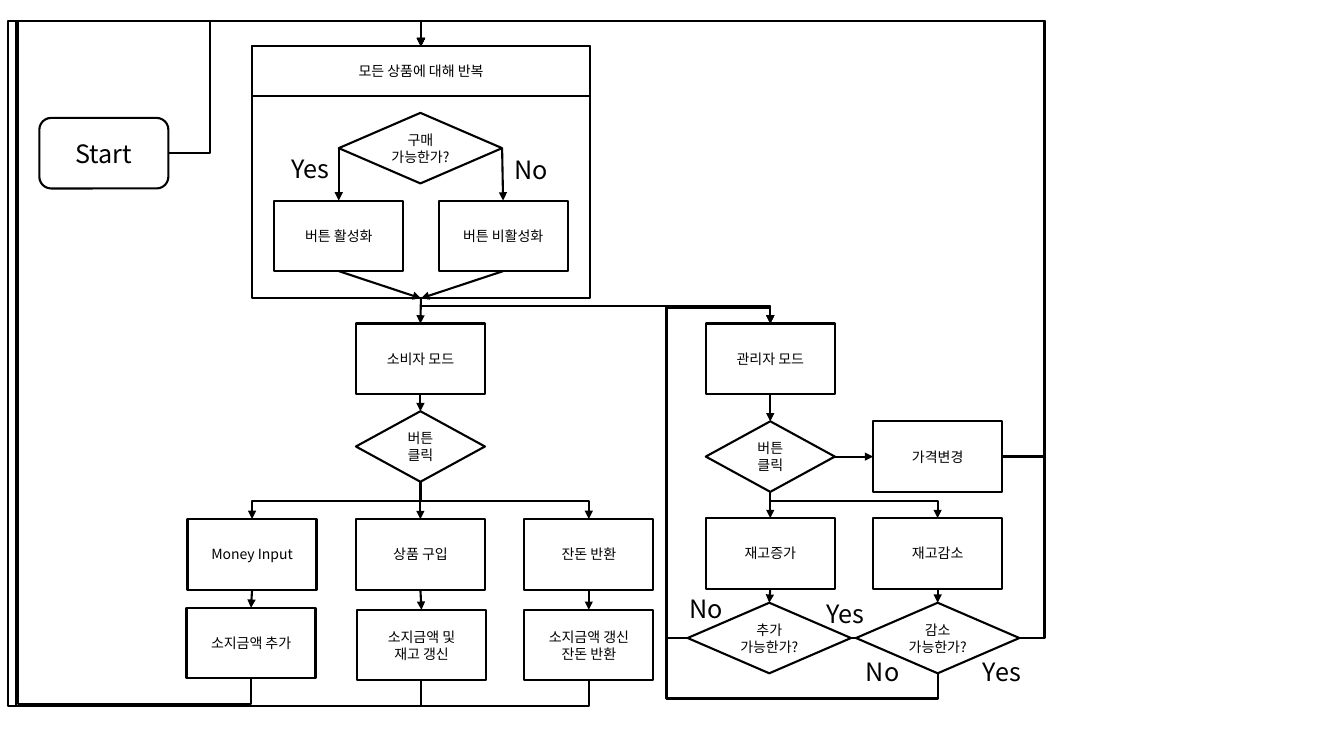
from pptx import Presentation
from pptx.dml.color import RGBColor
from pptx.enum.shapes import MSO_CONNECTOR as Line, MSO_SHAPE as Kind
from pptx.enum.text import MSO_ANCHOR as Anchor, PP_ALIGN as Align
from pptx.oxml.ns import qn
from pptx.util import Inches, Pt
from lxml.etree import SubElement

COLORS = {"ink": "000000", "paper": "FFFFFF"}
FONT = "Noto Sans CJK KR"
TOP, LEFT, BOTTOM, RIGHT = range(4)
WIDE, HIGH = 1.28, 0.7
FORK = 1.62


def color(name):
    return RGBColor.from_string(COLORS[name])


def write(frame, text, size=10, align=Align.CENTER, anchor=Anchor.MIDDLE):
    frame.word_wrap = True
    frame.vertical_anchor = anchor
    for i, part in enumerate(text.split("\n")):
        para = frame.paragraphs[0] if i == 0 else frame.add_paragraph()
        para.alignment = align
        run = para.add_run()
        run.text = part
        run.font.size = Pt(size)
        run.font.name = FONT
        run.font.color.rgb = color("ink")
        SubElement(run.font._element, qn("a:ea")).set("typeface", FONT)


def box(shapes, x, y, text="", kind=Kind.RECTANGLE, wide=WIDE, high=HIGH, size=10):
    shape = shapes.add_shape(kind, Inches(x), Inches(y), Inches(wide), Inches(high))
    shape.shadow.inherit = False
    shape.line.color.rgb = color("ink")
    shape.line.width = Pt(1.5)
    if text:
        shape.fill.solid()
        shape.fill.fore_color.rgb = color("paper")
        write(shape.text_frame, text, size=size)
    else:
        shape.fill.background()
    return shape


def label(shapes, x, y, text):
    area = shapes.add_textbox(Inches(x), Inches(y), Inches(1.09), Inches(0.4))
    write(area.text_frame, text, size=18, align=Align.LEFT, anchor=Anchor.TOP)


def bend(line, side, lanes):
    """Route an elbow line along lanes that alternate between the two axes."""
    start = (line.begin_x, line.begin_y)
    span = (line.end_x - line.begin_x, line.end_y - line.begin_y)
    first = 0 if side in (LEFT, RIGHT) else 1
    along, across = span[first], span[1 - first]
    mid = [s + d / 2 for s, d in zip(start, span)]
    line.width, line.height = abs(along), abs(across)
    line.left = round(mid[0] - abs(along) / 2)
    line.top = round(mid[1] - abs(across) / 2)
    props = line._element.spPr
    frame = props.find(qn("a:xfrm"))
    frame.set("rot", str(first * 5400000))
    frame.set("flipH", str(int(along < 0)))
    frame.set("flipV", str(int((across > 0) if first else (across < 0))))
    form = props.find(qn("a:prstGeom"))
    form.set("prst", f"bentConnector{len(lanes) + 2}")
    guides = form.find(qn("a:avLst"))
    if guides is None:
        guides = SubElement(form, qn("a:avLst"))
    for i, lane in enumerate(lanes):
        axis = (first + i) % 2
        ratio = round((Inches(lane) - start[axis]) / span[axis] * 100000)
        guide = SubElement(guides, qn("a:gd"))
        guide.set("name", f"adj{i + 1}")
        guide.set("fmla", f"val {ratio}")


def link(shapes, source, side, target, end, *lanes):
    kind = Line.ELBOW if lanes else Line.STRAIGHT
    line = shapes.add_connector(kind, 0, 0, 0, 0)
    line.begin_connect(source, side)
    line.end_connect(target, end)
    if lanes:
        bend(line, side, lanes)
    line.line.color.rgb = color("ink")
    line.line.width = Pt(1.5)
    SubElement(line.line._get_or_add_ln(), qn("a:tailEnd")).set("type", "triangle")
    SubElement(line._element.spPr, qn("a:effectLst"))


def repeat(shapes):
    check = box(shapes, 3.36, 1.12, "구매\n가능한가?", Kind.DIAMOND, FORK)
    loop = box(shapes, 2.5, 0.46, wide=3.35, high=2.5)
    box(shapes, 2.5, 0.46, "모든 상품에 대해 반복", wide=3.35, high=0.49)
    for x, text, side in ((2.72, "버튼 활성화", LEFT), (4.35, "버튼 비활성화", RIGHT)):
        state = box(shapes, x, 1.99, text)
        link(shapes, check, side, state, TOP)
        link(shapes, state, BOTTOM, loop, BOTTOM)
    label(shapes, 5, 1.48, "No")
    label(shapes, 2.79, 1.47, "Yes")
    return loop


def buyer(shapes, loop):
    mode = box(shapes, 3.53, 3.21, "소비자 모드")
    click = box(shapes, 3.53, 4.08, "버튼 클릭", Kind.DIAMOND)
    link(shapes, loop, BOTTOM, mode, TOP)
    link(shapes, mode, BOTTOM, click, TOP)
    steps = (
        (1.86, "Money Input", 1.85, 6.03, "소지금액 추가", (4.97,), (6.98, 0.18, 0.21)),
        (3.53, "상품 구입", 3.54, 6.05, "소지금액 및\n재고 갱신", (), (7.01, 0.17, 0.21)),
        (5.2, "잔돈 반환", 5.2, 6.05, "소지금액 갱신\n잔돈 반환", (4.97,), (7.01, 0.16, 0.21)),
    )
    for x, text, left, top, result, lanes, back in steps:
        act = box(shapes, x, 5.15, text)
        done = box(shapes, left, top, result)
        link(shapes, click, BOTTOM, act, TOP, *lanes)
        link(shapes, act, BOTTOM, done, TOP)
        link(shapes, done, BOTTOM, loop, TOP, *back)


def admin(shapes, loop):
    mode = box(shapes, 7, 3.21, "관리자 모드")
    click = box(shapes, 7, 4.18, "버튼 클릭", Kind.DIAMOND)
    more = box(shapes, 7, 5.14, "재고증가")
    less = box(shapes, 8.66, 5.14, "재고감소")
    price = box(shapes, 8.66, 4.18, "가격변경")
    add = box(shapes, 6.82, 5.98, "추가\n가능한가?", Kind.DIAMOND, FORK)
    link(shapes, add, RIGHT, loop, TOP, 10.35, 0.21)
    drop = box(shapes, 8.49, 5.98, "감소\n가능한가?", Kind.DIAMOND, FORK)
    link(shapes, loop, BOTTOM, mode, TOP, 3.04)
    link(shapes, mode, BOTTOM, click, TOP)
    link(shapes, click, BOTTOM, more, TOP)
    link(shapes, click, BOTTOM, less, TOP, 4.97)
    link(shapes, click, RIGHT, price, LEFT)
    link(shapes, more, BOTTOM, add, TOP)
    link(shapes, less, BOTTOM, drop, TOP)
    for source in (price, drop):
        link(shapes, source, RIGHT, loop, TOP, 10.36, 0.21)
    link(shapes, drop, BOTTOM, mode, TOP, 6.93, 6.61, 3.04)
    link(shapes, add, LEFT, mode, TOP, 6.61, 3.05)
    for x, y, text in ((9.65, 6.46, "Yes"), (8.1, 5.89, "Yes"),
                       (8.49, 6.46, "No"), (6.74, 5.84, "No")):
        label(shapes, x, y, text)


def main():
    deck = Presentation()
    deck.slide_width, deck.slide_height = Inches(13.33), Inches(7.5)
    shapes = deck.slides.add_slide(deck.slide_layouts[6]).shapes
    start = box(shapes, 0.39, 1.17, "Start", Kind.ROUNDED_RECTANGLE, size=18)
    loop = repeat(shapes.add_group_shape().shapes)
    link(shapes, start, RIGHT, loop, TOP, 2.08, 0.21)
    buyer(shapes, loop)
    admin(shapes, loop)
    deck.save("out.pptx")


if __name__ == "__main__":
    main()
